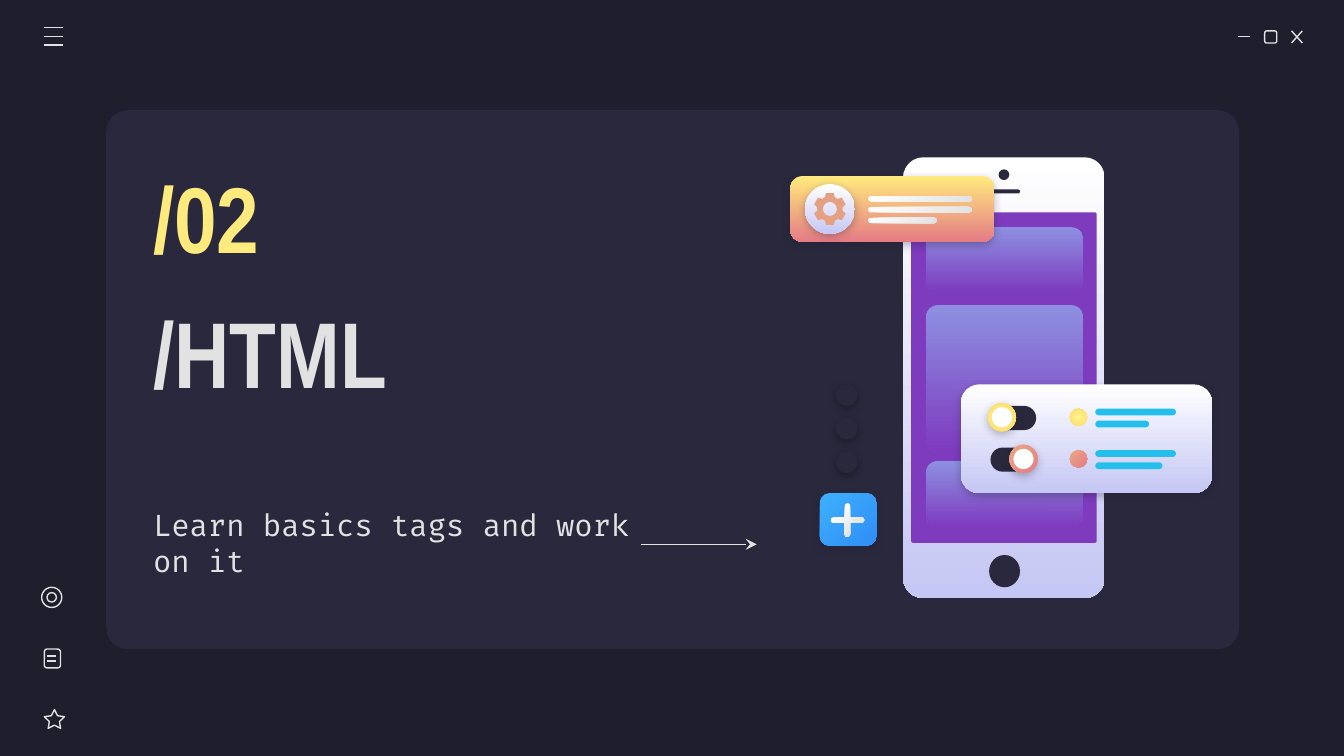
from math import cos, pi, sin

from pptx import Presentation
from pptx.dml.color import RGBColor
from pptx.enum.dml import MSO_FILL
from pptx.enum.shapes import MSO_CONNECTOR, MSO_SHAPE
from pptx.enum.text import MSO_ANCHOR, MSO_AUTO_SIZE, PP_ALIGN
from pptx.oxml import parse_xml
from pptx.oxml.ns import nsdecls
from pptx.util import Inches, Pt

ROUND, OVAL, STAR = MSO_SHAPE.ROUNDED_RECTANGLE, MSO_SHAPE.OVAL, MSO_SHAPE.STAR_5_POINT
STRAIGHT, GRADIENT = MSO_CONNECTOR.STRAIGHT, MSO_FILL.GRADIENT
MIDDLE, LEFT, NO_FIT = MSO_ANCHOR.MIDDLE, PP_ALIGN.LEFT, MSO_AUTO_SIZE.NONE

COLORS = {
    "back": "1E1E2C", "panel": "29283D", "light": "E2E2E2", "yellow": "FFEA7D",
    "purple": "7E3BBE", "gear": "E5A083", "white": "FFFFFF", "cyan": "24BFEB",
    "black": "000000",
}
# Gradients: first colour, last colour, clockwise angle (None is radial)
GRADIENTS = {
    "tile": ("8D90E1", "7E3BBE", 90), "pale": ("FFFFFF", "C5C7F4", 90),
    "sunset": ("FFEA7D", "E57C85", 90), "bar": ("FFFFFF", "E2E2E2", 45),
    "blue": ("3DB0FD", "308EF7", 45), "coral": ("E9A984", "E57C85", 45),
    "sun": ("FFF68E", "FFD966", None),
}
COLUMNS = 1000  # square grid cells across the slide

prs = Presentation()
prs.slide_width = Inches(10)
prs.slide_height = prs.slide_width * 9 // 16
CELL = prs.slide_width // COLUMNS
slide = prs.slides.add_slide(prs.slide_layouts[5])
shapes = slide.shapes


def rgb(name):
    return RGBColor.from_string(COLORS[name])


def place(box, x, y, w, h):
    """Grid position of a part inside a box, in slide units."""
    return [int(v * CELL) for v in (box[0] + x, box[1] + y, w, h)]


def paint(shape, fill=None, shadow=None):
    """Fill a shape; without a fill it gets a thin light outline."""
    shape.shadow.inherit = False
    if fill is None:
        shape.fill.background()
        shape.line.color.rgb = rgb("light")
        shape.line.width = Pt(0.75)
        return shape
    shape.line.fill.background()
    if fill in COLORS:
        shape.fill.solid()
        shape.fill.fore_color.rgb = rgb(fill)
    else:
        first, last, angle = GRADIENTS[fill]
        shape.fill.gradient()
        for stop, color in zip(shape.fill.gradient_stops, (first, last)):
            stop.color.rgb = RGBColor.from_string(color)
        if angle is None:
            linear = shape.element.spPr.find(".//{*}lin")
            linear.getparent().replace(linear, parse_xml(
                f'<a:path {nsdecls("a")} path="circle"><a:fillToRect '
                'l="50000" t="50000" r="50000" b="50000"/></a:path>'))
        else:
            shape.fill.gradient_angle = 360 - angle
    if shadow:
        shape.element.spPr.find("{*}effectLst").append(parse_xml(
            f'<a:outerShdw {nsdecls("a")} blurRad="{Pt(4.5)}" dist="{Pt(1.5)}" '
            f'dir="5400000" algn="bl" rotWithShape="0"><a:srgbClr val="{COLORS[shadow]}">'
            '<a:alpha val="30000"/></a:srgbClr></a:outerShdw>'))
    return shape


def part(box, x, y, w, h, fill=None, kind=ROUND, corner=None, shadow=None):
    shape = shapes.add_shape(kind, *place(box, x, y, w, h))
    if corner is not None:
        shape.adjustments[0] = corner
    return paint(shape, fill, shadow)


def stroke(box, x1, y1, x2, y2, arrow=False):
    start, end = place(box, x1, y1, 0, 0), place(box, x2, y2, 0, 0)
    line = shapes.add_connector(STRAIGHT, *start[:2], *end[:2])
    line.line.color.rgb = rgb("light")
    line.line.width = Pt(0.75)
    if arrow:
        line.line._get_or_add_ln().append(
            parse_xml(f'<a:tailEnd {nsdecls("a")} type="stealth"/>'))
    line.element.spPr.append(parse_xml(f'<a:effectLst {nsdecls("a")}/>'))


def write(holder, box, words, size, font, color, bold=False):
    holder.left, holder.top, holder.width, holder.height = place(box, 0, 0, *box[2:])
    frame = holder.text_frame
    frame.text = words
    frame.word_wrap, frame.auto_size, frame.vertical_anchor = True, NO_FIT, MIDDLE
    frame.margin_left = frame.margin_right = Inches(0.1)
    frame.margin_top = frame.margin_bottom = Inches(0.1)
    line = frame.paragraphs[0]
    line.alignment = LEFT
    line.font.size, line.font.name, line.font.bold = Pt(size), font, bold
    line.font.color.rgb = rgb(color)


def window_buttons(box):
    stroke(box, 0, 4, 9, 4)
    part(box, 20, 0, 9, 9)
    stroke(box, 40, 0, 48, 9)
    stroke(box, 48, 0, 40, 9)


def menu_icon(box):
    for row in range(3):
        stroke(box, 0, row * box[3] / 2, box[2], row * box[3] / 2)


def side_icons(box):
    part(box, 0, 0, 15, 15, kind=OVAL)
    part(box, 4, 4, 7, 7, kind=OVAL)
    part(box, 2, 46, 12, 14)
    for y in (51, 55):
        stroke(box, 4, y, 11, y)
    part(box, 2, 91, 15, 14, kind=STAR, corner=0.25)


def headings(box):
    """Section number, title, subtitle and the arrow towards the phone."""
    x, y = box[:2]
    title = shapes.title
    title.element.getparent().append(title.element)  # in front of the panel
    write(title, (x, y + 64, 430, 164), "/HTML", 50, "Arial Narrow", "light", True)
    for area, words, size, font, color, bold in (
        ((x, y, 178, 92), "/02", 50, "Arial Narrow", "yellow", True),
        ((x, y + 250, 399, 78), "Learn basics tags and work on it", 16, "Fira Code",
         "light", False),
    ):
        write(shapes.add_textbox(0, 0, 0, 0), area, words, size, font, color, bold)
    stroke(box, 373, 290, 459, 290, arrow=True)


def phone(box):
    part(box, 0, 0, *box[2:], "pale", corner=0.1)
    part(box, 71, 9, 8, 8, "panel", OVAL)
    part(box, 63, 24, 24, 3, "panel", corner=0.5)
    part(box, 6, 41, 138, 246, "purple", corner=0.01)
    for y, height in ((52, 49), (110, 109), (226, 49)):
        part(box, 17, y, 117, height, "tile", corner=9 / height)
    part(box, 64, 296, 23, 24, "panel", OVAL)


def gear(box):
    """Six teeth around a round hole."""
    cx, cy = box[0] + box[2] / 2, box[1] + box[3] / 2

    def ring(steps):
        return [((cx + r * sin(a * pi / 180)) * CELL, (cy - r * cos(a * pi / 180)) * CELL)
                for a, r in steps]

    tooth = ((-22, 9.5), (-14, 12.2), (14, 12.2), (22, 9.5))
    rim = ring([(60 * n + a, r) for n in range(6) for a, r in tooth])
    hole = ring([(-15 * n, 5.2) for n in range(24)])
    outline = shapes.build_freeform(*rim[0])
    outline.add_line_segments(rim[1:])
    outline.move_to(*hole[0])
    outline.add_line_segments(hole[1:])
    paint(outline.convert_to_shape(), "gear")


def settings_card(box):
    part(box, 0, 0, *box[2:], "sunset", corner=0.19, shadow="back")
    part(box, 11, 6, 37, 37, "pale", OVAL, shadow="back")
    gear((box[0] + 11, box[1] + 6, 37, 37))
    for row, width in enumerate((77, 77, 51)):
        part(box, 58, 15 + 8 * row, width, 4, "bar", corner=0.5)


def toggle_card(box):
    part(box, 0, 0, *box[2:], "pale", corner=0.17, shadow="back")
    for y, knob_x, fill, short in ((14, 20, "sun", 40), (45, 36, "coral", 50)):
        part(box, 22, y + 2, 34, 18, "panel", corner=0.5)
        part(box, knob_x, y, 21, 21, fill, OVAL, shadow="back")
        part(box, knob_x + 3, y + 3, 15, 15, "white", OVAL)
        part(box, 81, y + 4, 13, 13, fill, OVAL)
        for line_y, width in ((4, 60), (13, short)):
            part(box, 100, y + line_y, width, 5, "cyan", corner=0.5)


def add_button(box):
    part(box, 0, 0, *box[2:], "blue", corner=0.18, shadow="back")
    part(box, 8, 18, 25, 4, "bar", corner=0.5)
    part(box, 18.5, 7.5, 4, 25, "bar", corner=0.5)


def dots(box):
    for row in range(3):
        part(box, 0, 25 * row, 16, 16, "panel", OVAL, shadow="black")


# Backdrop
slide.background.fill.solid()
slide.background.fill.fore_color.rgb = rgb("back")
part((79, 82), 0, 0, 843, 401, "panel", corner=0.04)

# Browser window icons
window_buttons((921, 23, 48, 9))
menu_icon((33, 20.5, 14, 13))
side_icons((31, 437, 17, 105))

# Text
headings((104, 115, 459, 328))

# Phone illustration
phone((672, 117, 150, 328))
settings_card((588, 131, 152, 49))
toggle_card((715, 286, 187, 81))
add_button((610, 367, 42, 39))
dots((622, 286, 16, 66))

prs.save("out.pptx")
